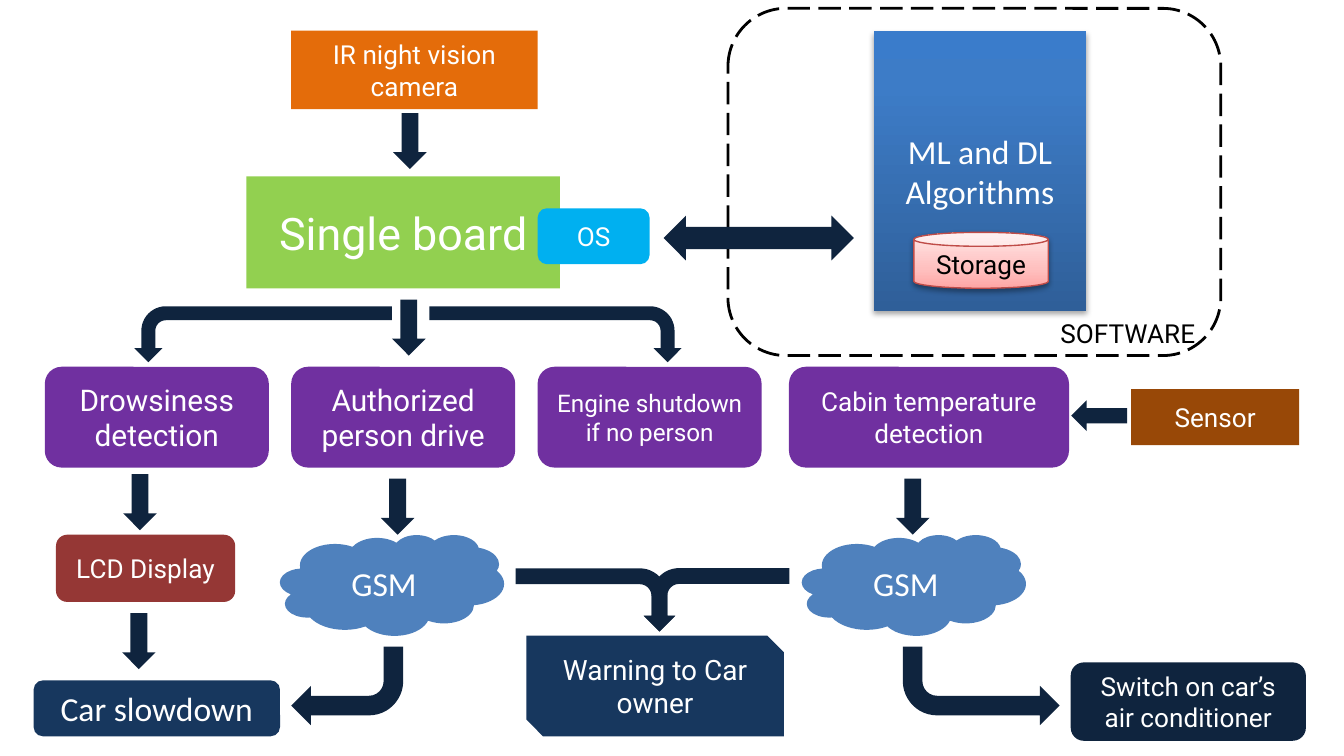
from lxml.etree import SubElement
from pptx import Presentation
from pptx.dml.color import RGBColor
from pptx.enum.dml import MSO_LINE_DASH_STYLE as Dash
from pptx.enum.shapes import MSO_SHAPE as Shape
from pptx.enum.text import MSO_ANCHOR as Anchor, MSO_AUTO_SIZE as AutoSize, PP_ALIGN as Align
from pptx.oxml.ns import qn
from pptx.util import Inches, Pt

COLORS = {
    "white": "FFFFFF", "black": "000000", "green": "92D050", "orange": "E46C0A",
    "cyan": "00B0F0", "purple": "7030A0", "red": "953735", "blue": "4F81BD",
    "navy": "17375E", "night": "0F243E", "brown": "984807", "rim": "BF4C48",
    "deep": "2F5F99", "mid": "3D7CC7", "bright": "3A7CCB",
    "rose": "FFA6A5", "pink": "FFC0BF", "blush": "FFE7E7",
}
CELL = 1 / 12
ROW_SHIFT = 0.25
TASK_ROW, TASK_HEIGHT = 33, 9
GSM_ROW = 48


def color(name):
    return RGBColor.from_string(COLORS[name])


def place(column, row, width, height):
    return [Inches(n * CELL) for n in (column, row - ROW_SHIFT, width, height)]


def write(frame, text, size, font, ink, align):
    frame.word_wrap = True
    frame.text = text
    for para in frame.paragraphs:
        para.alignment = align
        para.font.size = Pt(size)
        para.font.name = font
        para.font.color.rgb = color(ink)


def add_box(page, kind, spot, fill, text="", size=14, font="Roboto", ink="white"):
    box = page.shapes.add_shape(kind, *place(*spot))
    box.shadow.inherit = False
    box.fill.solid()
    box.fill.fore_color.rgb = color(fill)
    box.line.fill.background()
    if text:
        box.text_frame.vertical_anchor = Anchor.MIDDLE
        write(box.text_frame, text, size, font, ink, Align.CENTER)
    return box


def add_arrow(page, kind, spot, turn=0, flips=""):
    arrow = add_box(page, kind, spot, "night")
    arrow.rotation = turn
    frame = arrow._element.spPr.find(qn("a:xfrm"))
    for axis in flips:
        frame.set(f"flip{axis}", "1")


def add_label(page, spot, text):
    label = page.shapes.add_textbox(*place(*spot))
    write(label.text_frame, text, 14, "Roboto", "black", Align.RIGHT)
    label.text_frame.auto_size = AutoSize.SHAPE_TO_FIT_TEXT


def set_outline(box, ink, width):
    box.line.color.rgb = color(ink)
    box.line.width = Pt(width)


def add_color(parent, name):
    return SubElement(parent, qn("a:srgbClr"), val=COLORS[name])


def set_gradient(box, stops):
    box.fill.gradient()
    gradient = box._element.spPr.find(qn("a:gradFill"))
    stop_list = gradient.find(qn("a:gsLst"))
    for stop in list(stop_list):
        stop_list.remove(stop)
    for position, name in stops:
        add_color(SubElement(stop_list, qn("a:gs"), pos=str(position * 1000)), name)
    gradient.find(qn("a:lin")).set("ang", str(270 * 60000))


def set_shadow(box, opacity, blur, distance):
    effects = box._element.spPr.find(qn("a:effectLst"))
    shadow = SubElement(effects, qn("a:outerShdw"), blurRad=str(Pt(blur)),
                        dist=str(Pt(distance)), dir=str(90 * 60000), rotWithShape="0")
    SubElement(add_color(shadow, "black"), qn("a:alpha"), val=str(opacity * 1000))


def add_hardware(page):
    add_box(page, Shape.RECTANGLE, (22, 16, 28, 10), "green", "Single board", 24)
    add_box(page, Shape.RECTANGLE, (26, 3, 22, 7), "orange", "IR night vision camera")
    add_box(page, Shape.ROUNDED_RECTANGLE, (48, 18.85, 10, 5), "cyan", "OS")
    add_box(page, Shape.RECTANGLE, (101, 35, 15, 5), "brown", "Sensor")


def add_tasks(page):
    tasks = [
        (4, 20, "Drowsiness detection", 16),
        (26, 20, "Authorized person drive", 16),
        (48, 20, "Engine shutdown if no person", 13),
        (70.45, 25, "Cabin temperature detection", 14),
    ]
    for column, width, text, size in tasks:
        spot = (column, TASK_ROW, width, TASK_HEIGHT)
        add_box(page, Shape.ROUNDED_RECTANGLE, spot, "purple", text, size)


def add_outcomes(page):
    for column in (25, 71.6):
        add_box(page, Shape.CLOUD, (column, GSM_ROW, 20, 9), "blue", "GSM", 18, "Calibri")
    rounded = Shape.ROUNDED_RECTANGLE
    add_box(page, rounded, (5, GSM_ROW, 16, 6), "red", "LCD Display")
    add_box(page, rounded, (3, 61, 22, 5), "navy", "Car slowdown", 18, "Calibri")
    add_box(page, Shape.SNIP_2_DIAG_RECTANGLE, (47, 57, 23, 9), "navy", "Warning to Car owner", 15)
    add_box(page, rounded, (95.6, 59.4, 21, 7), "night", "Switch on car’s air conditioner")


def add_arrows(page):
    for column, row in [(35.1, 10.35), (35, 27), (34, 43), (11, 42.6), (80, 43), (10.9, 55)]:
        add_arrow(page, Shape.DOWN_ARROW, (column, row, 3, 5))
    bends = [
        ((21, 18.6, 5, 23), 90, "V"),
        ((47.1, 18.85, 5, 22.5), 90, ""),
        ((61.15, 47.3, 5.65, 13), 270, "H"),
        ((50.35, 46.7, 5.65, 14.25), 270, "HV"),
        ((26, 58, 10, 7), 180, ""),
        ((80.6, 58, 14, 7), 180, "H"),
    ]
    for spot, turn, flips in bends:
        add_arrow(page, Shape.BENT_ARROW, spot, turn, flips)
    add_arrow(page, Shape.LEFT_ARROW, (95.65, 36, 5, 2.75))
    add_arrow(page, Shape.LEFT_RIGHT_ARROW, (59.25, 19.5, 17, 4))


def add_software(page):
    frame = add_box(page, Shape.ROUNDED_RECTANGLE, (65, 1, 44, 31), "white")
    set_outline(frame, "black", 1.5)
    frame.line.dash_style = Dash.LONG_DASH
    panel = add_box(page, Shape.RECTANGLE, (78, 3, 19, 25), "mid",
                    "ML and DL\nAlgorithms", 18, "Calibri")
    set_gradient(panel, [(0, "deep"), (80, "mid"), (100, "bright")])
    set_shadow(panel, 35, 3.1, 1.8)
    storage = add_box(page, Shape.CAN, (81.6, 21, 12, 5), "pink", "Storage", ink="black")
    set_gradient(storage, [(0, "rose"), (35, "pink"), (100, "blush")])
    set_outline(storage, "rim", 0.75)
    set_shadow(storage, 38, 3.1, 1.6)
    add_label(page, (91.9, 28, 16, 4), "SOFTWARE")


def main():
    deck = Presentation()
    deck.slide_width = Inches(10)
    deck.slide_height = deck.slide_width * 9 // 16
    page = deck.slides.add_slide(deck.slide_layouts[6])
    add_software(page)
    add_hardware(page)
    add_tasks(page)
    add_outcomes(page)
    add_arrows(page)
    deck.save("out.pptx")


if __name__ == "__main__":
    main()
